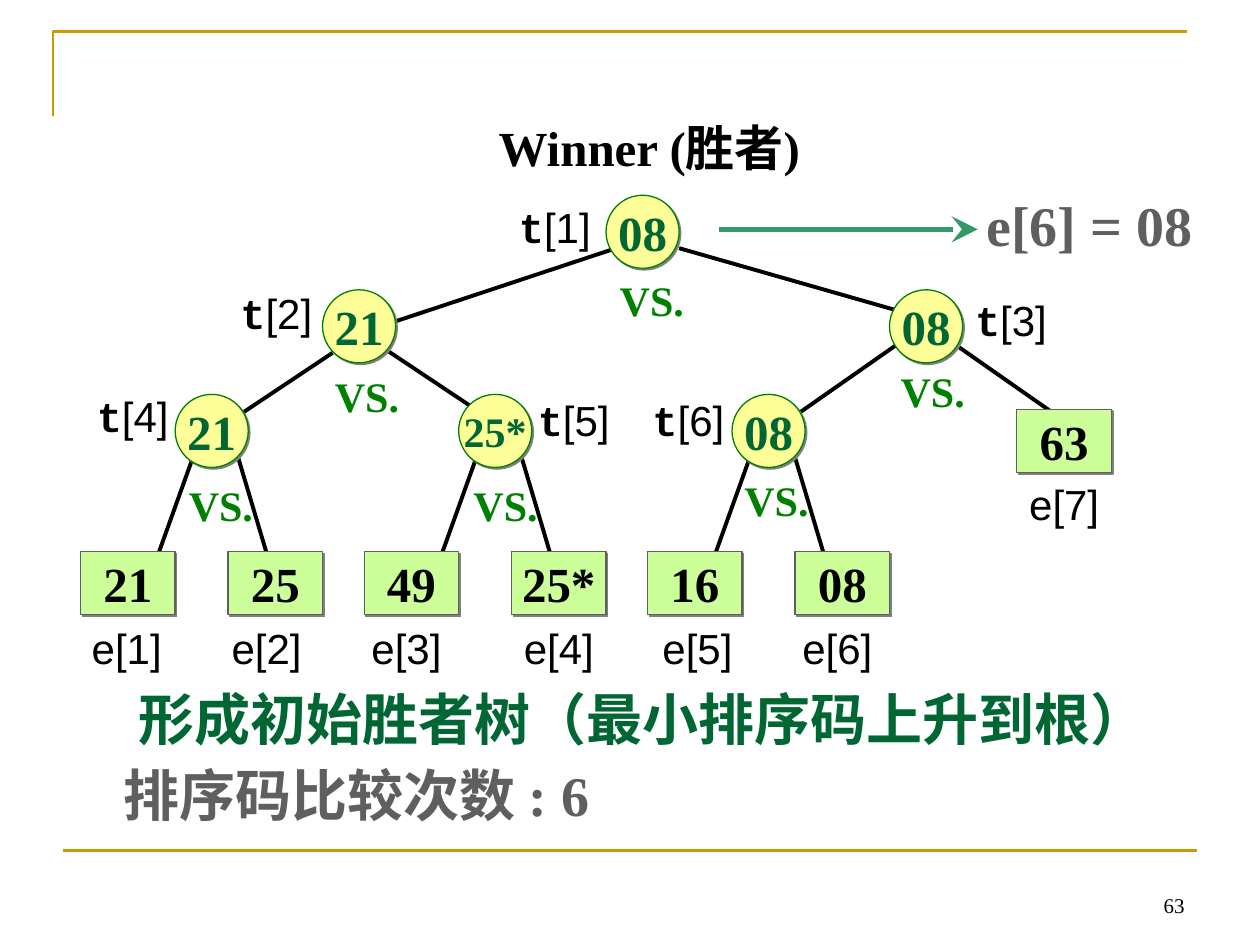
from lxml.etree import SubElement
from pptx import Presentation
from pptx.dml.color import RGBColor
from pptx.enum.shapes import MSO_CONNECTOR, MSO_SHAPE
from pptx.enum.text import MSO_ANCHOR, PP_ALIGN
from pptx.oxml.ns import qn
from pptx.util import Inches, Pt

TIMES = "Times New Roman"


def write(shape, runs, align=PP_ALIGN.LEFT, anchor=MSO_ANCHOR.TOP, wrap=True):
    frame = shape.text_frame
    frame.word_wrap = wrap
    frame.vertical_anchor = anchor
    paragraph = frame.paragraphs[0]
    paragraph.alignment = align
    for text, size, name, color, bold in runs:
        run = paragraph.add_run()
        run.text = text
        run.font.size = Pt(size)
        run.font.name = name
        run.font.bold = bold
        run.font.color.rgb = RGBColor.from_string(color)


def draw_line(start, end, color, width):
    points = [Inches(value) for value in (*start, *end)]
    connector = slide.shapes.add_connector(MSO_CONNECTOR.STRAIGHT, *points)
    connector.line.color.rgb = RGBColor.from_string(color)
    connector.line.width = Pt(width)
    SubElement(connector._element.spPr, qn("a:effectLst"))
    return connector


presentation = Presentation()
presentation.slide_width = Inches(10)
presentation.slide_height = Inches(7.5)
slide = presentation.slides.add_slide(presentation.slide_layouts[6])

builder = slide.shapes.build_freeform(Inches(0.42), Inches(0.92), scale=1.0)
builder.add_line_segments(
    [(Inches(0.42), Inches(0.25)), (Inches(9.42), Inches(0.25))], close=False
)
frame_corner = builder.convert_to_shape()
frame_corner.shadow.inherit = False
frame_corner.fill.background()
frame_corner.line.color.rgb = RGBColor.from_string("CC9900")
frame_corner.line.width = Pt(1.5)
draw_line((0.5, 6.75), (9.5, 6.75), "CC9900", 1.5)

branches = [
    ((5.39, 1.97), (7.14, 2.47)),
    ((4.89, 1.97), (3.14, 2.55)),
    ((7.14, 2.72), (6.31, 3.3)),
    ((2.98, 2.72), (3.73, 3.22)),
    ((7.56, 2.72), (8.39, 3.3)),
    ((2.64, 2.8), (1.89, 3.3)),
]
for x in (1.56, 3.81, 5.98):
    branches.append(((x, 3.55), (x - 0.33, 4.47)))
    branches.append(((x + 0.33, 3.63), (x + 0.58, 4.47)))
for start, end in branches:
    draw_line(start, end, "000000", 2.25)

circle = (MSO_SHAPE.OVAL, 0.58, 0.58, "FFFF99", "008000", "006633")
square = (MSO_SHAPE.RECTANGLE, 0.75, 0.5, "CCFF99", "5F5F5F", "000000")
nodes = [
    (circle, 4.81, 1.55, "08", 28),
    (circle, 2.56, 2.3, "21", 28),
    (circle, 7.06, 2.3, "08", 28),
    (circle, 5.81, 3.13, "08", 28),
    (circle, 3.64, 3.13, "25*", 24),
    (circle, 1.39, 3.13, "21", 28),
    (square, 0.64, 4.38, "21", 28),
    (square, 1.81, 4.38, "25", 28),
    (square, 2.89, 4.38, "49", 28),
    (square, 4.06, 4.38, "25*", 28),
    (square, 5.14, 4.38, "16", 28),
    (square, 6.31, 4.38, "08", 28),
    (square, 8.07, 3.25, "63", 28),
]
for style, left, top, text, size in nodes:
    preset, width, height, fill, outline, color = style
    shape = slide.shapes.add_shape(
        preset, Inches(left), Inches(top), Inches(width), Inches(height)
    )
    shape.fill.solid()
    shape.fill.fore_color.rgb = RGBColor.from_string(fill)
    shape.line.color.rgb = RGBColor.from_string(outline)
    shape.line.width = Pt(0.75)
    shape.shadow.inherit = False
    effects = shape._element.spPr.find(qn("a:effectLst"))
    shadow = SubElement(
        effects, qn("a:outerShdw"), dist=str(Pt(1.4)), dir="2700000", algn="ctr", rotWithShape="0"
    )
    SubElement(shadow, qn("a:srgbClr"), val="808080")
    write(shape, [(text, size, TIMES, color, True)], PP_ALIGN.CENTER, MSO_ANCHOR.MIDDLE, False)

labels = []
leaf_places = [
    (0.63, 4.89), (1.74, 4.89), (2.85, 4.89), (4.06, 4.89),
    (5.16, 4.89), (6.27, 4.89), (8.07, 3.75),
]
for number, (left, top) in enumerate(leaf_places, 1):
    labels.append((left, top, 0.83, 0.5, [(f"e[{number}]", 24, "Arial", "000000", False)]))

tree_places = [(4.02, 1.55), (1.81, 2.23), (7.64, 2.29), (0.67, 3.05), (4.17, 3.08), (5.08, 3.08)]
for number, (left, top) in enumerate(tree_places, 1):
    runs = [
        ("t", 24, "Courier New", "000000", True),
        (f"[{number}]", 24, "Arial", "000000", False),
    ]
    labels.append((left, top, 0.83, 0.5, runs))

match_places = [(1.4, 3.76), (3.66, 3.76), (2.56, 2.89), (5.81, 3.72), (7.05, 2.85), (4.82, 2.13)]
for left, top in match_places:
    labels.append((left, top, 0.8, 0.5, [("VS.", 24, TIMES, "008000", True)]))

labels += [
    (1, 5.38, 8.21, 0.64, [("形成初始胜者树（最小排序码上升到根）", 32, TIMES, "006633", True)]),
    (0.88, 5.99, 4.22, 0.64, [("排序码比较次数 : 6", 32, TIMES, "5F5F5F", True)]),
    (3.86, 0.88, 2.9, 0.57, [("Winner (胜者)", 28, TIMES, "000000", True)]),
    (7.73, 1.46, 1.94, 0.64, [("e[6] = 08", 32, TIMES, "5F5F5F", True)]),
]
for left, top, width, height, runs in labels:
    label = slide.shapes.add_textbox(Inches(left), Inches(top), Inches(width), Inches(height))
    write(label, runs)

arrow = draw_line((5.71, 1.82), (7.76, 1.82), "339966", 3)
SubElement(arrow.line._get_or_add_ln(), qn("a:tailEnd"), type="stealth", w="lg", len="lg")

page_number = slide.shapes.add_textbox(Inches(7.17), Inches(6.83), Inches(2.33), Inches(0.5))
write(page_number, [("63", 12, TIMES, "000000", False)], PP_ALIGN.RIGHT, MSO_ANCHOR.BOTTOM)

presentation.save("out.pptx")
